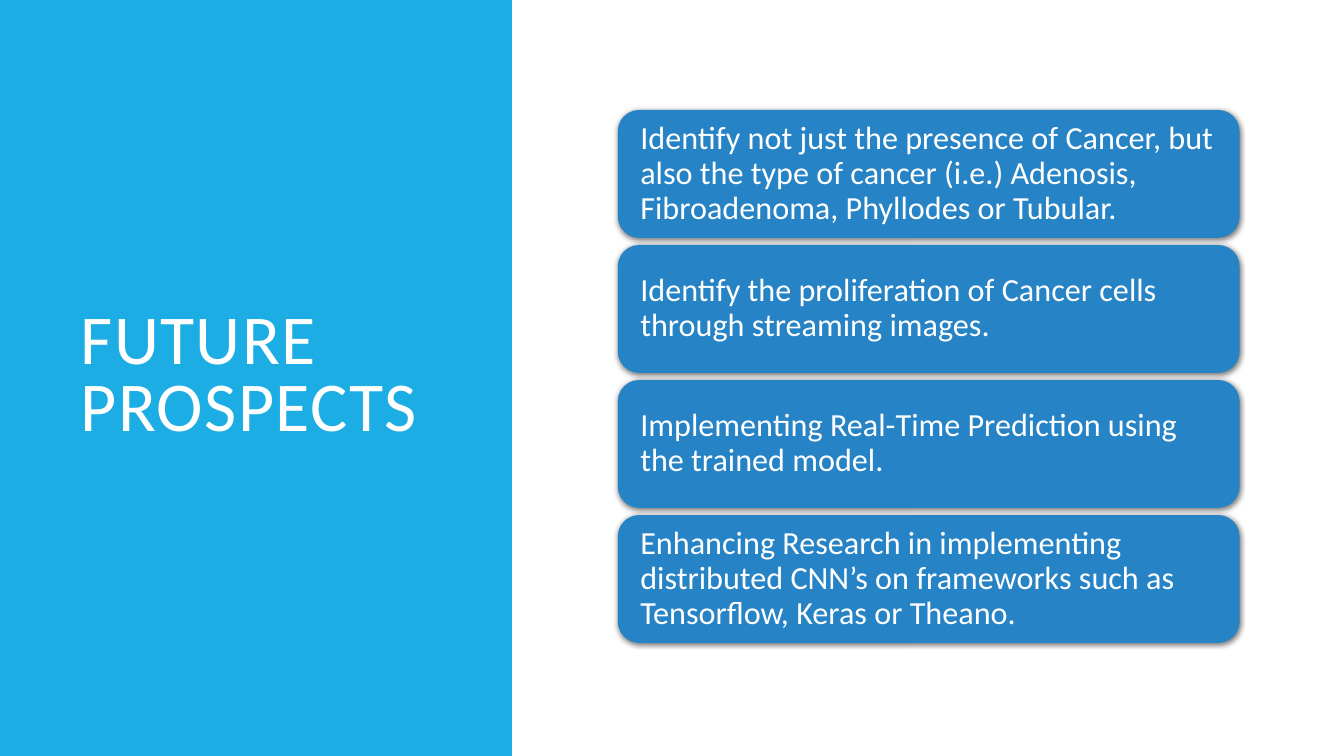
from dataclasses import dataclass

from lxml import etree
from pptx import Presentation
from pptx.dml.color import RGBColor
from pptx.enum.shapes import MSO_SHAPE
from pptx.enum.text import MSO_ANCHOR, MSO_AUTO_SIZE, PP_ALIGN
from pptx.util import Cm, Pt

RECTANGLE = MSO_SHAPE.RECTANGLE
ROUNDED = MSO_SHAPE.ROUNDED_RECTANGLE
MIDDLE = MSO_ANCHOR.MIDDLE
NO_AUTOFIT = MSO_AUTO_SIZE.NONE
LEFT = PP_ALIGN.LEFT
TITLE_ONLY = 5

PROSPECTS = [
    "Identify not just the presence of Cancer, but also the type of cancer "
    "(i.e.) Adenosis, Fibroadenoma, Phyllodes or Tubular.",
    "Identify the proliferation of Cancer cells through streaming images.",
    "Implementing Real-Time Prediction using the trained model.",
    "Enhancing Research in implementing distributed CNN’s on frameworks "
    "such as Tensorflow, Keras or Theano.",
]

CARD_SHADOW = (
    '<a:effectLst xmlns:a="http://schemas.openxmlformats.org/drawingml/2006/main">'
    '<a:outerShdw blurRad="50800" dist="12700" dir="5400000" algn="ctr" rotWithShape="0">'
    '<a:srgbClr val="000000"><a:alpha val="50000"/></a:srgbClr>'
    "</a:outerShdw></a:effectLst>"
)


@dataclass(frozen=True)
class Theme:
    """Colours, font and type sizes of the slide."""

    panel: RGBColor = RGBColor(0x1C, 0xAD, 0xE4)
    card: RGBColor = RGBColor(0x26, 0x83, 0xC6)
    text: RGBColor = RGBColor(0xFF, 0xFF, 0xFF)
    font: str = "Calibri"
    title_size: Pt = Pt(50)
    card_size: Pt = Pt(23)


@dataclass(frozen=True)
class Box:
    """A region of the slide."""

    left: int
    top: int
    width: int
    height: int


THEME = Theme()


def add_block(page, kind, box, colour):
    """Add a filled shape without outline or shadow."""
    block = page.shapes.add_shape(kind, box.left, box.top, box.width, box.height)
    block.shadow.inherit = False
    block.fill.solid()
    block.fill.fore_color.rgb = colour
    block.line.fill.background()
    return block


def write(shape, wording, size, line_spacing):
    """Write one left-aligned, vertically centred paragraph."""
    frame = shape.text_frame
    frame.text = wording
    frame.word_wrap = True
    frame.auto_size = NO_AUTOFIT
    frame.vertical_anchor = MIDDLE
    para = frame.paragraphs[0]
    para.alignment = LEFT
    para.line_spacing = line_spacing
    para.font.name = THEME.font
    para.font.size = size
    para.font.color.rgb = THEME.text
    return para


def add_title_panel(page, box, wording):
    """Fill the box with the panel colour and centre the title in it."""
    margin = Cm(1.78)
    title = page.shapes.title
    panel = add_block(page, RECTANGLE, box, THEME.panel)
    title._element.addprevious(panel._element)
    title.left, title.top = box.left + margin, box.top + margin
    title.width = box.width - margin - Cm(1.62)
    title.height = box.height - 2 * margin
    para = write(title, wording, THEME.title_size, 0.8)
    para.runs[0].font._element.set("spc", "100")


def add_cards(page, box, wordings):
    """Stack equal rounded cards down the box, one per wording."""
    gap = Cm(0.18)
    height = (box.height - gap * (len(wordings) - 1)) // len(wordings)
    for index, wording in enumerate(wordings):
        top = box.top + index * (height + gap)
        card = add_block(page, ROUNDED, Box(box.left, top, box.width, height), THEME.card)
        properties = card._element.spPr
        properties.remove(properties.find("{*}effectLst"))
        properties.append(etree.fromstring(CARD_SHADOW))
        write(card, wording, THEME.card_size, 0.9)
        frame = card.text_frame
        frame.margin_left = frame.margin_right = Cm(0.41)
        frame.margin_top = frame.margin_bottom = Cm(0.2)


def main():
    """Build and save the slide."""
    deck = Presentation()
    deck.slide_width, deck.slide_height = Cm(33.87), Cm(19.05)
    page = deck.slides.add_slide(deck.slide_layouts[TITLE_ONLY])
    add_title_panel(page, Box(0, 0, Cm(12.9), deck.slide_height), "FUTURE PROSPECTS")
    add_cards(page, Box(Cm(15.57), Cm(2.77), Cm(15.67), Cm(13.43)), PROSPECTS)
    deck.save("out.pptx")


if __name__ == "__main__":
    main()
